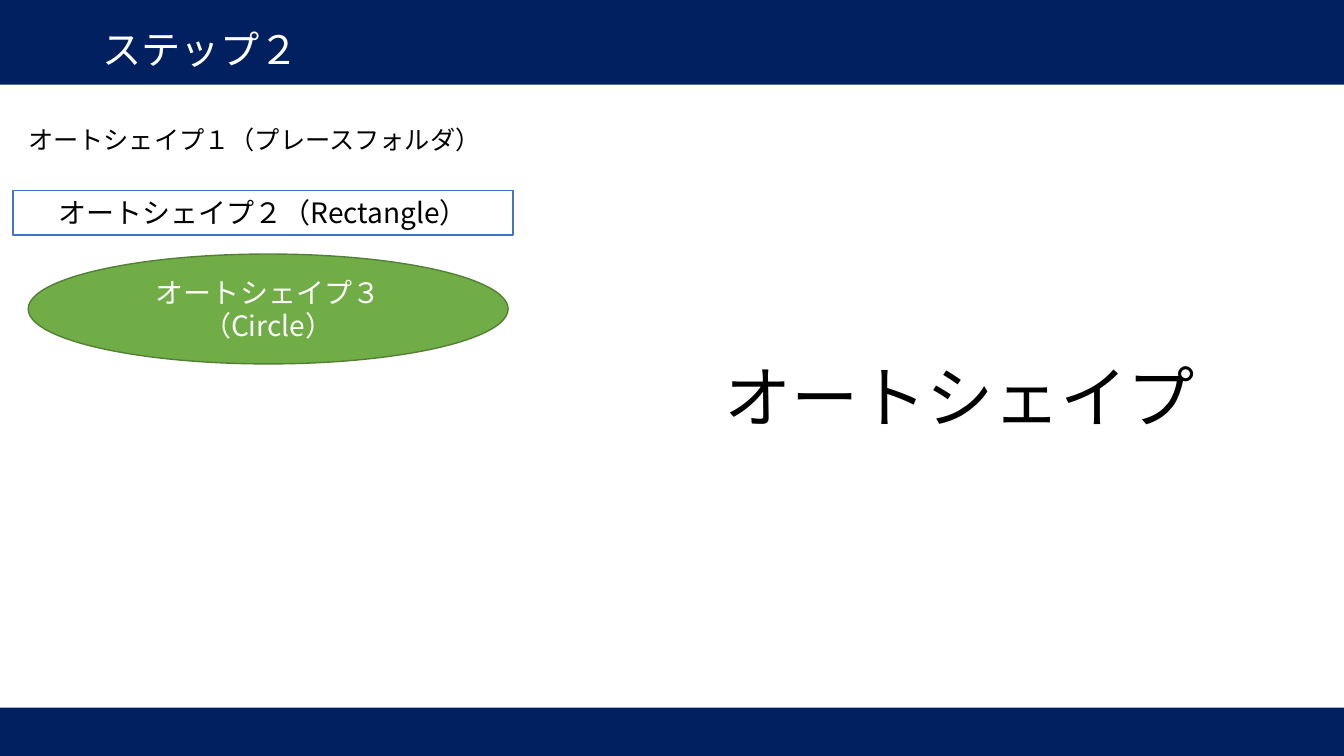
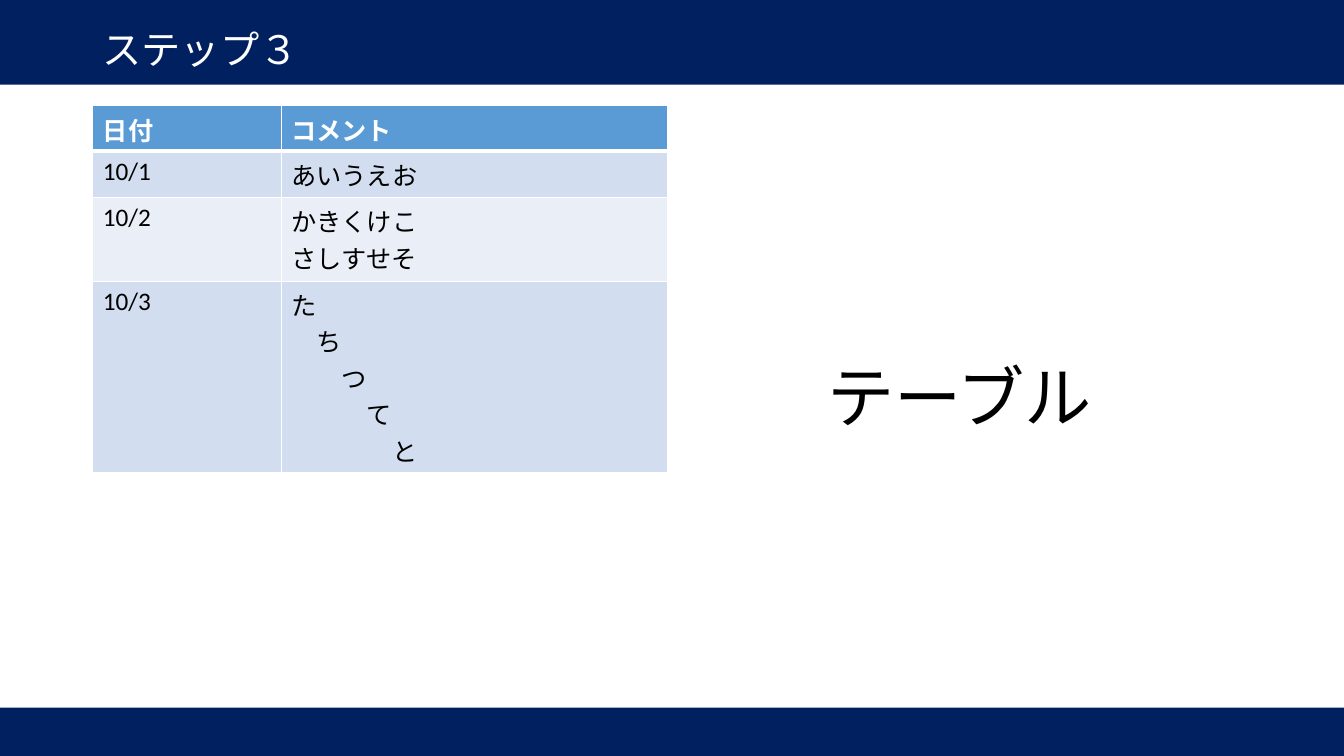
from lxml import etree
from pptx import Presentation
from pptx.dml.color import RGBColor
from pptx.enum.shapes import MSO_SHAPE as Preset
from pptx.enum.text import MSO_ANCHOR as Anchor, PP_ALIGN as Align
from pptx.oxml.ns import qn
from pptx.util import Inches, Pt

# Shared look
NAVY, WHITE, BLACK = "002060", "FFFFFF", "000000"
GOTHIC, LATIN = "Noto Sans CJK JP", "Calibri"
SLIDE_W, SLIDE_H = 13.33, 7.5
BANDS = [(0, 7.02, SLIDE_W, 0.48), (0, 0, SLIDE_W, 0.84)]
TITLE_BOX = (0.92, 0.21, 11.5, 0.61)
TOPIC_BOX = (6.62, 1.11, 5.8, 5.74)

# Slide content
SHAPES_TITLE, SHAPES_TOPIC = "ステップ２", "オートシェイプ"
CAPTION = "オートシェイプ１（プレースフォルダ）"
CAPTION_BOX = (0.18, 1.18, 4.86, 0.4)
SAMPLES = [  # preset, box, fill, outline, text, text colour
    (Preset.RECTANGLE, (0.13, 1.89, 4.96, 0.44), WHITE, "4472C4",
     "オートシェイプ２（Rectangle）", BLACK),
    (Preset.OVAL, (0.28, 2.52, 4.76, 1.09), "70AD47", "538035",
     "オートシェイプ３（Circle）", WHITE),
]

TABLE_TITLE, TABLE_TOPIC = "ステップ３", "テーブル"
TABLE_AT = (0.92, 1.05)
COLUMN_WIDTHS = [1.87, 3.83]
ROWS = [  # height, date, comment lines, indent per line
    (0.45, "日付", ["コメント"], 0),
    (0.46, "10/1", ["あいうえお"], 0),
    (0.83, "10/2", ["かきくけこ", "さしすせそ"], 0),
    (1.9, "10/3", ["た", "ち", "つ", "て", "と"], 0.25),
]
HEADER_FILL, ROW_FILLS = "5B9BD5", ("D2DEEF", "EAEFF7")


def rgb(code):
    return RGBColor.from_string(code)


def inches(box):
    return [Inches(length) for length in box]


def write(frame, lines, size=18, font=LATIN, color=BLACK, bold=False, align=Align.LEFT,
          spacing=1.0, before=0, step=0):
    """Fill a text frame; each line is indented by one more step."""
    for i, line in enumerate(lines):
        para = frame.paragraphs[0] if i == 0 else frame.add_paragraph()
        para.alignment, para.line_spacing, para.space_before = align, spacing, Pt(before)
        if step * i:
            para._p.get_or_add_pPr().set("marL", str(Inches(step * i)))
        run = para.add_run()
        run.text = line
        run.font.size, run.font.name, run.font.bold = Pt(size), font, bold
        run.font.color.rgb = rgb(color)
        east_asian = etree.SubElement(run._r.get_or_add_rPr(), qn("a:ea"))
        east_asian.set("typeface", GOTHIC)


def add_text(slide, box, text, anchor=Anchor.MIDDLE, **style):
    frame = slide.shapes.add_textbox(*inches(box)).text_frame
    frame.word_wrap, frame.vertical_anchor = True, anchor
    write(frame, [text], **style)


def add_preset(slide, preset, box, fill, outline=None):
    shape = slide.shapes.add_shape(preset, *inches(box))
    shape.shadow.inherit = False
    shape.fill.solid()
    shape.fill.fore_color.rgb = rgb(fill)
    if outline:
        shape.line.color.rgb, shape.line.width = rgb(outline), Pt(1)
    else:
        shape.line.fill.background()
    return shape


def add_step(deck, title, topic):
    """Slide with bands, title and the large topic on the right."""
    slide = deck.slides.add_slide(deck.slide_layouts[6])
    for band in BANDS:
        add_preset(slide, Preset.RECTANGLE, band, NAVY)
    add_text(slide, TITLE_BOX, title, size=28, font=GOTHIC, color=WHITE, spacing=0.9)
    add_text(slide, TOPIC_BOX, topic, size=48, font=GOTHIC, align=Align.CENTER,
             spacing=0.9, before=10)
    return slide


def set_borders(cell, **widths):
    """White cell borders, in points, by side: L, R, T, B."""
    props = cell._tc.get_or_add_tcPr()
    for i, (side, width) in enumerate(widths.items()):
        edge = etree.Element(qn(f"a:ln{side}"), w=str(Pt(width)))
        paint = etree.SubElement(edge, qn("a:solidFill"))
        etree.SubElement(paint, qn("a:srgbClr"), val=WHITE)
        props.insert(i, edge)


def add_comment_table(slide):
    size = (sum(COLUMN_WIDTHS), sum(row[0] for row in ROWS))
    table = slide.shapes.add_table(len(ROWS), len(COLUMN_WIDTHS),
                                   *inches(TABLE_AT + size)).table
    for column, width in zip(table.columns, COLUMN_WIDTHS):
        column.width = Inches(width)
    for r, (height, date, comment, step) in enumerate(ROWS):
        header = r == 0
        table.rows[r].height = Inches(height)
        for c, lines in enumerate(([date], comment)):
            cell = table.cell(r, c)
            cell.fill.solid()
            cell.fill.fore_color.rgb = rgb(HEADER_FILL if header else ROW_FILLS[(r - 1) % 2])
            set_borders(cell, L=1, R=1, T=3 if r == 1 else 1, B=3 if header else 1)
            write(cell.text_frame, lines, color=WHITE if header else BLACK,
                  bold=header, step=step)


def main():
    deck = Presentation()
    deck.slide_width, deck.slide_height = Inches(SLIDE_W), Inches(SLIDE_H)

    # Autoshapes
    slide = add_step(deck, SHAPES_TITLE, SHAPES_TOPIC)
    add_text(slide, CAPTION_BOX, CAPTION, anchor=Anchor.TOP)
    for preset, box, fill, outline, text, color in SAMPLES:
        frame = add_preset(slide, preset, box, fill, outline).text_frame
        frame.word_wrap, frame.vertical_anchor = True, Anchor.MIDDLE
        write(frame, [text], size=20, font=GOTHIC, color=color, align=Align.CENTER)

    # Table
    add_comment_table(add_step(deck, TABLE_TITLE, TABLE_TOPIC))

    deck.save("out.pptx")


if __name__ == "__main__":
    main()
